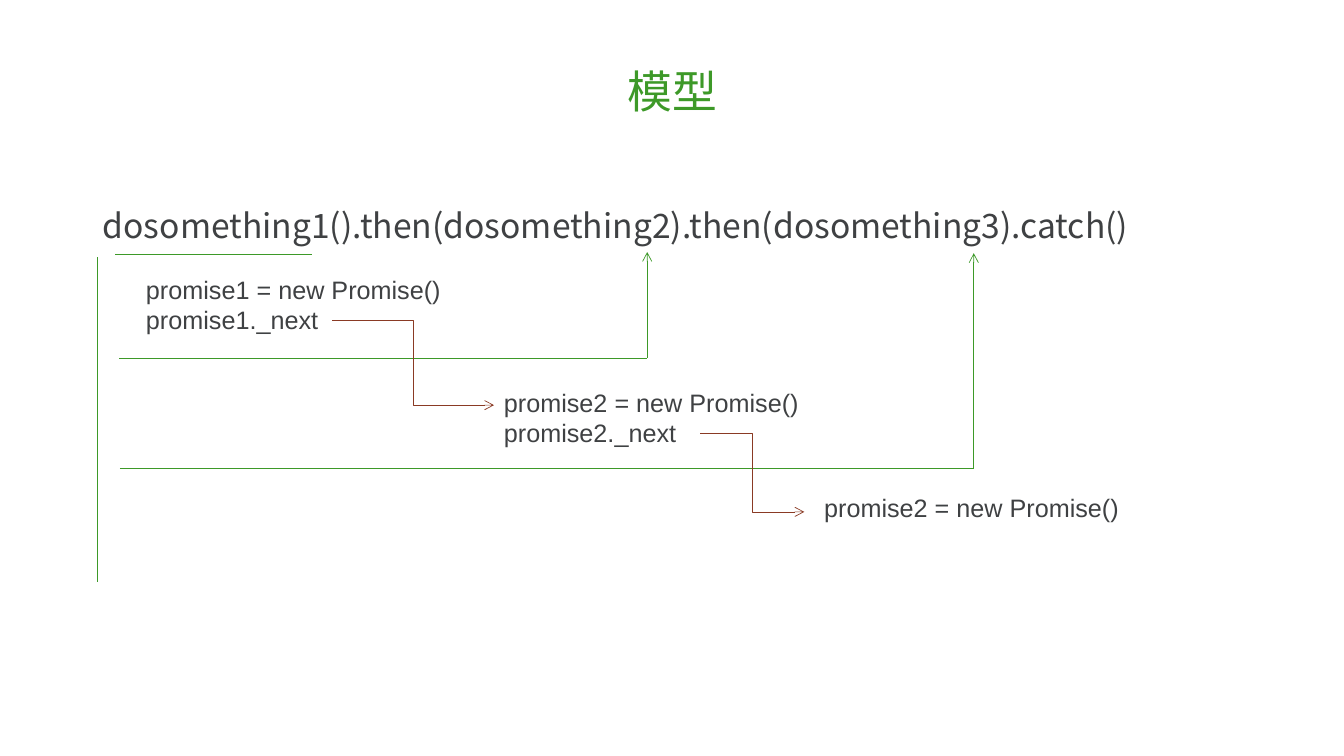
from collections import namedtuple

from lxml.etree import SubElement
from pptx import Presentation
from pptx.dml.color import RGBColor
from pptx.enum.shapes import MSO_CONNECTOR as Connector
from pptx.enum.text import MSO_ANCHOR as Anchor, PP_ALIGN as Align
from pptx.oxml.ns import qn
from pptx.util import Cm, Pt

GREEN = RGBColor(0x3D, 0x99, 0x28)
BROWN = RGBColor(0x8A, 0x3A, 0x24)
GREY = RGBColor(0x3F, 0x41, 0x43)
CHINESE_FONT = "Noto Sans CJK SC"
CODE_FONT = "Arial"

Box = namedtuple("Box", "left top width height")


def add_text(slide, box, text, font_name, size, color):
    shape = slide.shapes.add_textbox(*map(Cm, box))
    frame = shape.text_frame
    frame.word_wrap = True
    frame.text = text
    for paragraph in frame.paragraphs:
        for run in paragraph.runs:
            run.font.name = font_name
            run.font.size = Pt(size)
            run.font.color.rgb = color
            SubElement(run.font._element, qn("a:ea"), typeface=font_name)
    return frame


def add_line(slide, box, start, end, color=GREEN, kind=Connector.STRAIGHT, arrow=False):
    line = slide.shapes.add_connector(
        kind,
        Cm(box.left + start[0]), Cm(box.top + start[1]),
        Cm(box.left + end[0]), Cm(box.top + end[1]),
    )
    line.line.color.rgb = color
    line.line.width = Pt(0.5)
    if arrow:
        SubElement(line.line._get_or_add_ln(), qn("a:tailEnd"), type="arrow")
    SubElement(line._element.spPr, qn("a:effectLst"))


def draw_title(slide, box):
    frame = add_text(slide, box, "模型", CHINESE_FONT, 32, GREEN)
    frame.vertical_anchor = Anchor.MIDDLE
    frame.paragraphs[0].alignment = Align.CENTER
    frame.paragraphs[0].line_spacing = 0.9


def draw_call_chain(slide, box):
    text = "dosomething1().then(dosomething2).then(dosomething3).catch()"
    frame = add_text(slide, box, text, CHINESE_FONT, 24, GREY)
    frame.paragraphs[0].line_spacing = 0.9


def draw_promise_flow(slide, box):
    add_line(slide, box, (0, 0), (0, box.height))
    add_line(slide, box, (0.44, -0.08), (5.41, -0.08))

    for left, level, right, tip in ((0.54, 2.54, 13.85, -0.13), (0.56, 5.31, 22.08, -0.1)):
        add_line(slide, box, (left, level), (right, level))
        add_line(slide, box, (right, level), (right, tip), arrow=True)

    promises = (
        (0.97, 0.3, "promise1 = new Promise()\npromise1._next"),
        (9.99, 3.15, "promise2 = new Promise()\npromise2._next"),
        (18.06, 5.81, "promise2 = new Promise()"),
    )
    for left, top, text in promises:
        height = 0.26 + 0.76 * len(text.splitlines())
        text_box = Box(box.left + left, box.top + top, 8.28, height)
        add_text(slide, text_box, text, CODE_FONT, 18, GREY)

    for start, end in (((5.92, 1.6), (9.99, 3.73)), ((15.19, 4.44), (17.81, 6.42))):
        add_line(slide, box, start, end, BROWN, Connector.ELBOW, arrow=True)


def main():
    presentation = Presentation()
    presentation.slide_width = Cm(33.87)
    presentation.slide_height = Cm(19.05)
    slide = presentation.slides.add_slide(presentation.slide_layouts[6])
    draw_title(slide, Box(2.34, 1.22, 29.21, 2.31))
    draw_call_chain(slide, Box(2.34, 5.16, 29.21, 1.3))
    draw_promise_flow(slide, Box(2.46, 6.48, 26.34, 8.18))
    presentation.save("out.pptx")


if __name__ == "__main__":
    main()
